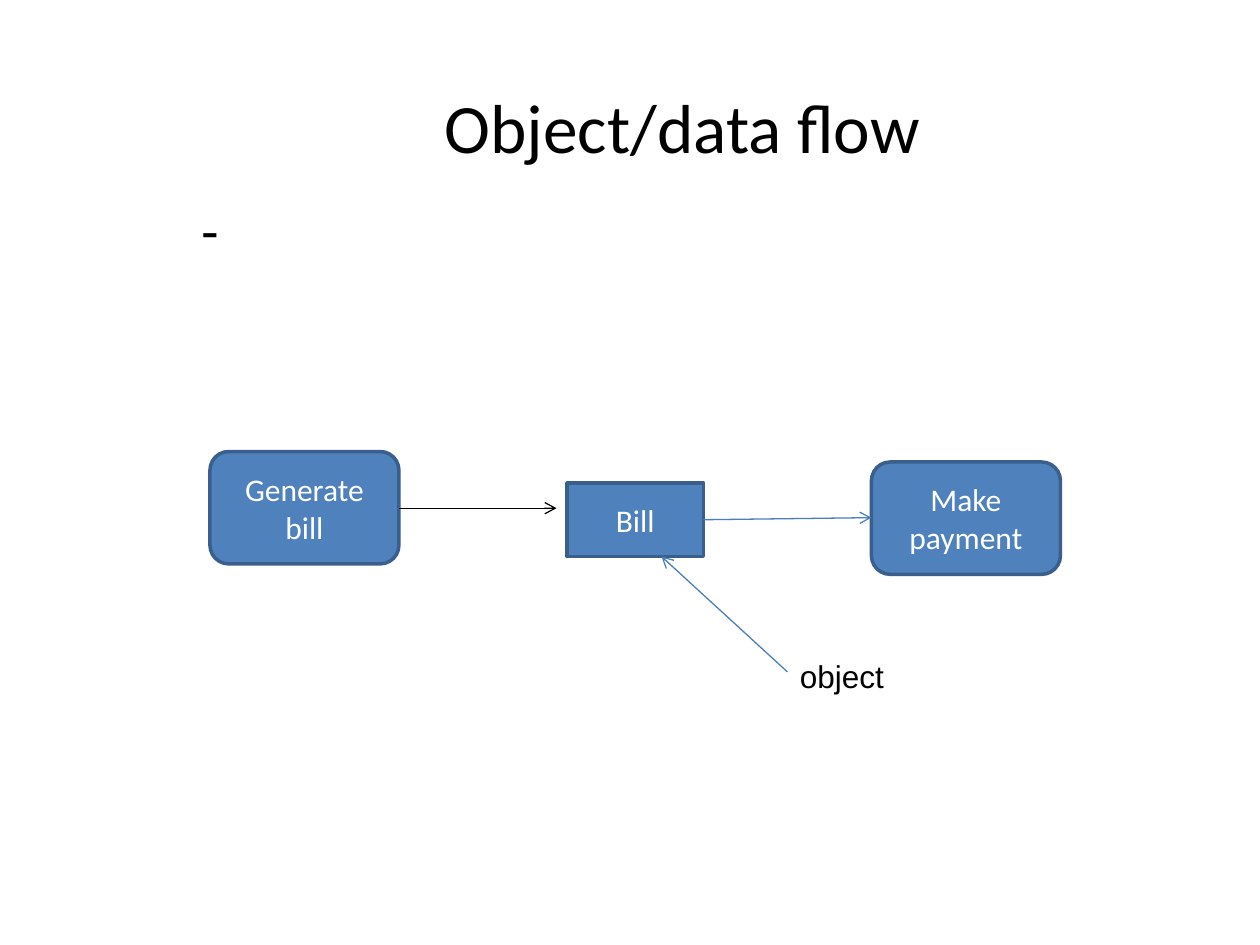
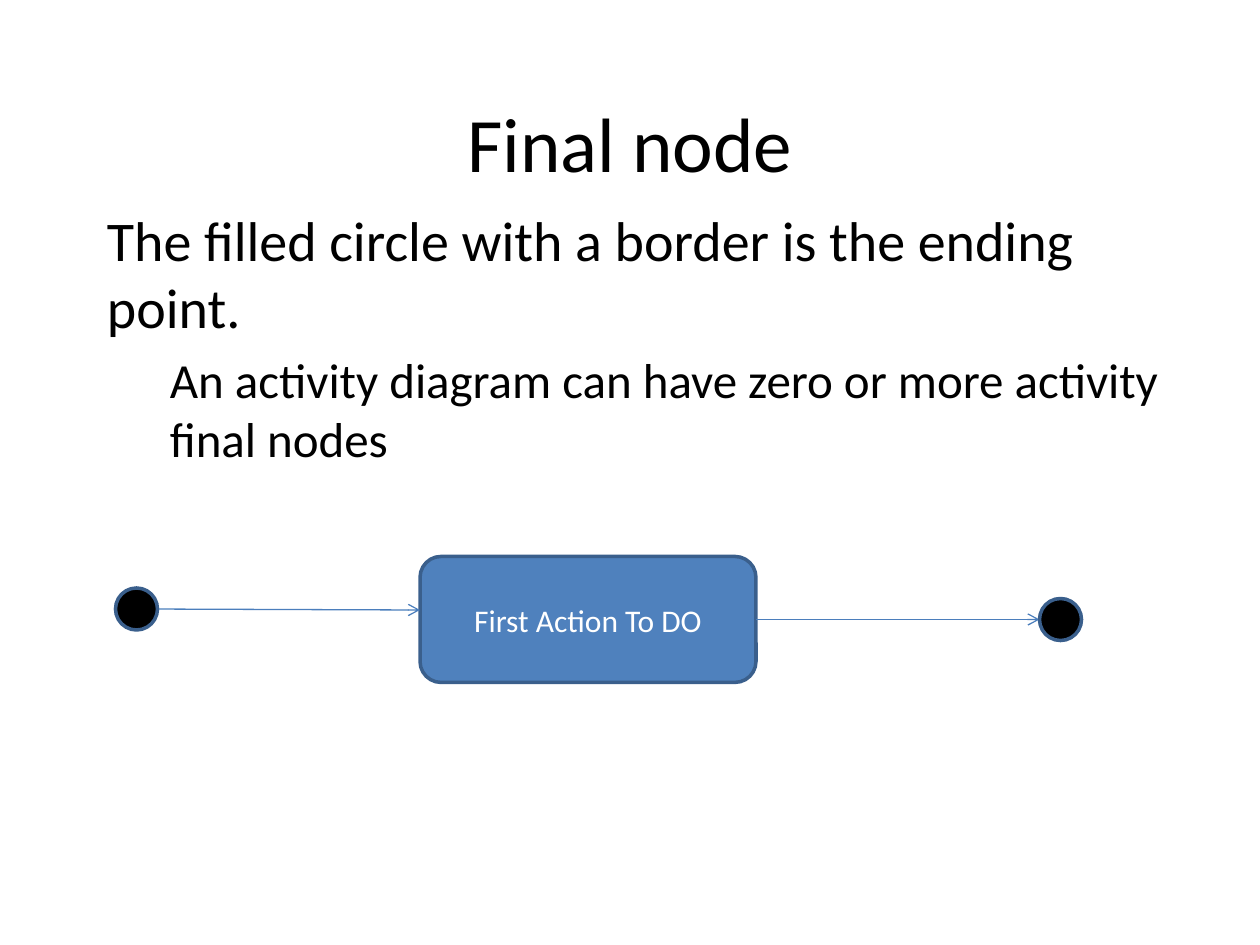
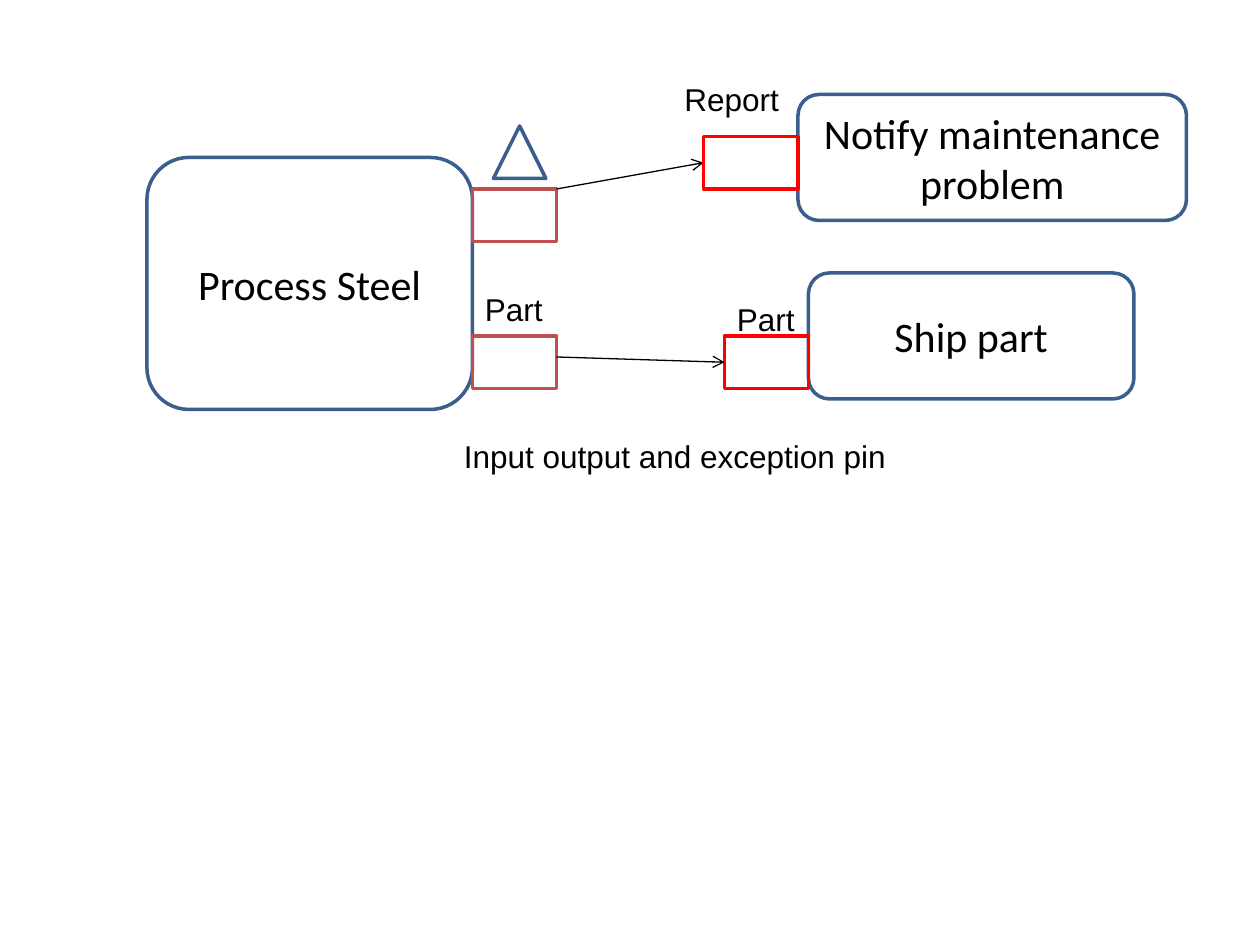
from pptx import Presentation
from pptx.dml.color import RGBColor
from pptx.enum.shapes import MSO_CONNECTOR, MSO_SHAPE
from pptx.enum.text import MSO_ANCHOR, PP_ALIGN
from pptx.oxml.ns import qn
from pptx.util import Emu, Pt
from lxml.etree import SubElement

PX = 7620  # 120 px to the inch

COLORS = {
    "black": "000000", "white": "FFFFFF", "blue": "4F81BD",
    "edge": "3A5F8C", "flow": "4B7EBC", "rust": "C0504D", "red": "FF0000",
}

# Font values per kind of text
FONTS = {
    "title": {"name": "Calibri", "size": Pt(44)},
    "small title": {"name": "Calibri", "size": Pt(39.6)},
    "body": {"name": "Calibri", "size": Pt(32)},
    "sub": {"name": "Calibri", "size": Pt(28)},
    "node": {"name": "Calibri", "size": Pt(18)},
    "large": {"name": "Calibri", "size": Pt(24)},
    "label": {"name": "Arial", "size": Pt(18)},
}

ROUND = MSO_SHAPE.FLOWCHART_ALTERNATE_PROCESS
RECT = MSO_SHAPE.RECTANGLE


def color(name):
    return RGBColor.from_string(COLORS[name])


def scale(*values):
    return [Emu(value * PX) for value in values]


class Deck:
    def __init__(self, width, height):
        self.prs = Presentation()
        self.prs.slide_width, self.prs.slide_height = scale(width, height)
        self.slide = None

    def page(self):
        self.slide = self.prs.slides.add_slide(self.prs.slide_layouts[6])

    def fill(self, frame, lines, anchor, align, ink="black"):
        """Fill a frame with (text, font) lines."""
        layout = {"word_wrap": True, "vertical_anchor": anchor}
        for key, value in layout.items():
            setattr(frame, key, value)
        for i, (text, kind) in enumerate(lines):
            para = frame.add_paragraph() if i else frame.paragraphs[0]
            para.alignment = align
            run = para.add_run()
            run.text = text
            for key, value in FONTS[kind].items():
                setattr(run.font, key, value)
            run.font.color.rgb = color(ink)

    def text(self, box, *lines, anchor=MSO_ANCHOR.TOP, align=PP_ALIGN.LEFT):
        frame = self.slide.shapes.add_textbox(*scale(*box)).text_frame
        self.fill(frame, lines, anchor, align)
        return frame

    def title(self, box, text, kind="title"):
        self.text(box, (text, kind), anchor=MSO_ANCHOR.MIDDLE, align=PP_ALIGN.CENTER)

    def body(self, box, *lines):
        frame = self.text(box, *lines)
        for para, (_, kind) in zip(frame.paragraphs, lines):
            para.space_before = Pt(FONTS[kind]["size"].pt * 0.2)
            if kind == "sub":
                props = para._p.get_or_add_pPr()
                props.set("marL", str(60 * PX))
                props.set("indent", "0")

    def label(self, box, text):
        self.text(box, (text, "label"))

    def shape(self, form, box, fill=None, edge="edge", lines=(), ink="white"):
        item = self.slide.shapes.add_shape(form, *scale(*box))
        item.shadow.inherit = False
        if fill:
            item.fill.solid()
            item.fill.fore_color.rgb = color(fill)
        else:
            item.fill.background()
        item.line.color.rgb = color(edge)
        item.line.width = Pt(2)
        if lines:
            self.fill(item.text_frame, lines, MSO_ANCHOR.MIDDLE, PP_ALIGN.CENTER, ink)

    def node(self, box, *texts, form=ROUND):
        self.shape(form, box, "blue", lines=[(text, "node") for text in texts])

    def task(self, box, text):
        self.shape(ROUND, box, "white", lines=[(text, "large")], ink="black")

    def dot(self, left, top):
        self.shape(MSO_SHAPE.OVAL, (left, top, 40, 40), "black")

    def pin(self, left, top, edge, width=80):
        self.shape(RECT, (left, top, width, 50), edge=edge)

    def arrow(self, start, end, ink="flow"):
        item = self.slide.shapes.add_connector(MSO_CONNECTOR.STRAIGHT, *scale(*start, *end))
        item.line.color.rgb = color(ink)
        item.line.width = Pt(0.75)
        props = item._element.spPr
        SubElement(props.find(qn("a:ln")), qn("a:tailEnd"), type="arrow")
        SubElement(props, qn("a:effectLst"))


def data_flow(deck):
    deck.page()
    deck.title((140, 80, 1020, 80), "Object/data flow", "small title")
    deck.body((180, 180, 840, 630), ("-", "body"))
    # Actions and the object between them
    deck.node((200, 430, 180, 107), "Generate bill")
    deck.node((830, 440, 180, 107), "Make", "payment")
    deck.arrow((380, 484), (530, 484), "black")
    deck.node((540, 460, 130, 70), "Bill", form=RECT)
    deck.arrow((670, 495), (830, 493))
    # Callout
    deck.arrow((750, 640), (630, 530))
    deck.label((750, 620, 160, 48), "object")


def final_node(deck):
    deck.page()
    deck.title((90, 60, 1020, 150), "Final node")
    deck.body(
        (90, 190, 1050, 550),
        ("The filled circle with a border is the ending point.", "body"),
        ("An activity diagram can have zero or more activity final nodes", "sub"),
    )
    # Start, action, end
    deck.node((400, 530, 320, 120), "First Action To DO", form=MSO_SHAPE.ROUNDED_RECTANGLE)
    deck.arrow((720, 590), (990, 590))
    deck.arrow((130, 580), (400, 581))
    deck.dot(110, 560)
    deck.dot(990, 570)


def pins(deck):
    deck.page()
    # Part flow
    deck.task((140, 150, 310, 240), "Process Steel")
    deck.task((770, 260, 310, 120), "Ship part")
    deck.pin(450, 320, "rust")
    deck.pin(690, 320, "red")
    for left, top in ((450, 270), (690, 280)):
        deck.label((left, top, 80, 50), "Part")
    deck.arrow((530, 340), (690, 345), "black")
    # Exception flow
    deck.pin(450, 180, "rust")
    deck.arrow((530, 180), (670, 155), "black")
    deck.label((430, 410, 510, 50), "Input output and exception pin")
    deck.task((760, 90, 370, 120), "Notify maintenance problem")
    deck.shape(MSO_SHAPE.ISOSCELES_TRIANGLE, (470, 120, 50, 50))
    deck.pin(670, 130, "red", 90)
    deck.label((640, 70, 130, 48), "Report")


def main():
    deck = Deck(1200, 900)
    for build in (data_flow, final_node, pins):
        build(deck)
    deck.prs.save("out.pptx")


if __name__ == "__main__":
    main()
